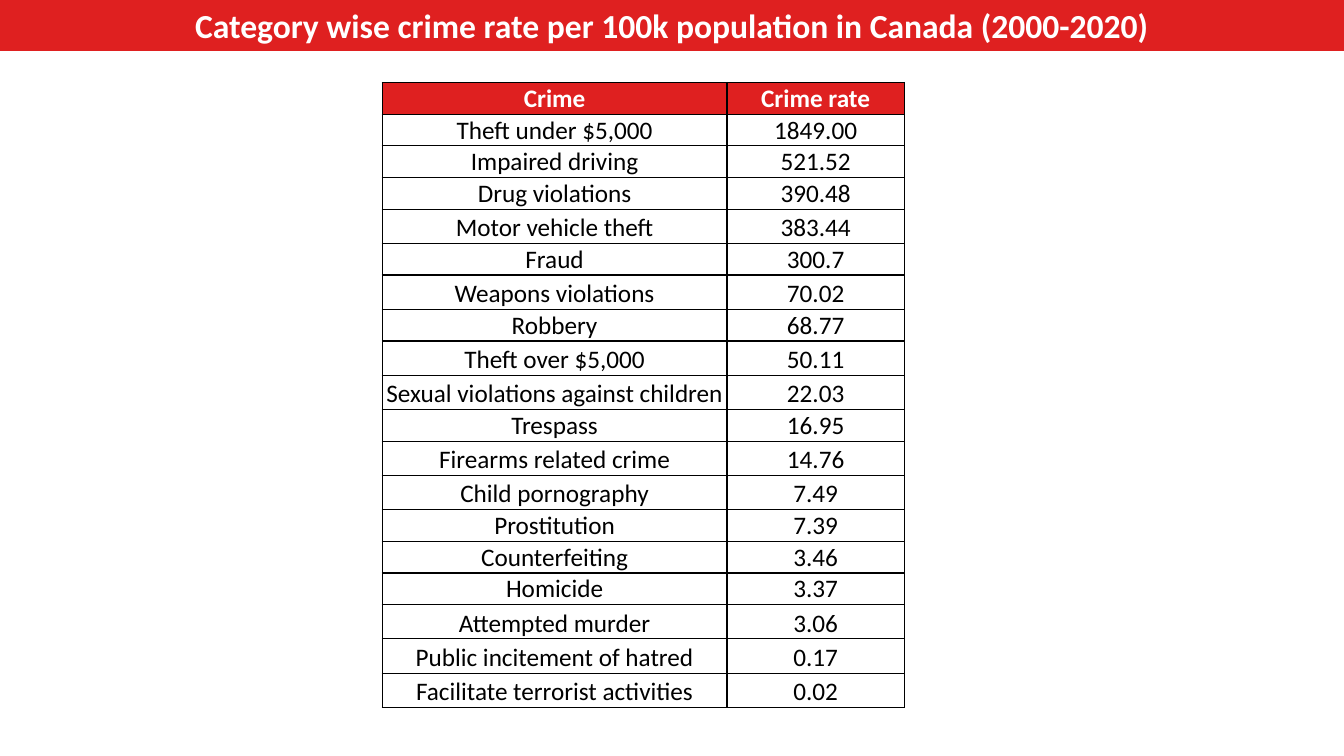
"""Build a slide with a table of Canadian crime rates by category."""
import lxml.etree
import pptx
import pptx.dml.color
import pptx.enum.text
import pptx.oxml.ns
import pptx.util

Pt = pptx.util.Pt
RED = pptx.dml.color.RGBColor(0xDF, 0x20, 0x20)
WHITE = pptx.dml.color.RGBColor(0xFF, 0xFF, 0xFF)
BLACK = pptx.dml.color.RGBColor(0x00, 0x00, 0x00)

SHORT_ROW, TALL_ROW = 22.3, 24.5
COLUMN_WIDTHS = (246.3, 126.7)
CRIMES = [
    ("Crime", "Crime rate", SHORT_ROW),
    ("Theft under $5,000", "1849.00", SHORT_ROW),
    ("Impaired driving", "521.52", SHORT_ROW),
    ("Drug violations", "390.48", SHORT_ROW),
    ("Motor vehicle theft", "383.44", TALL_ROW),
    ("Fraud", "300.7", SHORT_ROW),
    ("Weapons violations", "70.02", TALL_ROW),
    ("Robbery", "68.77", SHORT_ROW),
    ("Theft over $5,000", "50.11", TALL_ROW),
    ("Sexual violations against children", "22.03", TALL_ROW),
    ("Trespass", "16.95", SHORT_ROW),
    ("Firearms related crime", "14.76", TALL_ROW),
    ("Child pornography", "7.49", TALL_ROW),
    ("Prostitution", "7.39", SHORT_ROW),
    ("Counterfeiting", "3.46", SHORT_ROW),
    ("Homicide", "3.37", SHORT_ROW),
    ("Attempted murder", "3.06", TALL_ROW),
    ("Public incitement of hatred", "0.17", TALL_ROW),
    ("Facilitate terrorist activities", "0.02", TALL_ROW),
]


def write_text(text_frame, text, size=18, color=BLACK, bold=False):
    paragraph = text_frame.paragraphs[0]
    paragraph.alignment = pptx.enum.text.PP_ALIGN.CENTER
    run = paragraph.add_run()
    run.text = text
    run.font.name = "Calibri"
    run.font.size = Pt(size)
    run.font.bold = bold
    run.font.color.rgb = color


def add_borders(cell, color=BLACK, width=1):
    properties = cell._tc.get_or_add_tcPr()
    for side in ("a:lnL", "a:lnR", "a:lnT", "a:lnB"):
        line = lxml.etree.SubElement(properties, pptx.oxml.ns.qn(side), w=str(Pt(width)))
        fill = lxml.etree.SubElement(line, pptx.oxml.ns.qn("a:solidFill"))
        lxml.etree.SubElement(fill, pptx.oxml.ns.qn("a:srgbClr"), val=str(color))


presentation = pptx.Presentation()
presentation.slide_width = Pt(960)
presentation.slide_height = Pt(540)
slide = presentation.slides.add_slide(presentation.slide_layouts[5])

title = slide.shapes.title
title.left, title.top, title.width, title.height = Pt(0), Pt(0), Pt(960), Pt(36.4)
title.fill.solid()
title.fill.fore_color.rgb = RED
title.text_frame.auto_size = pptx.enum.text.MSO_AUTO_SIZE.NONE
title.text_frame.vertical_anchor = pptx.enum.text.MSO_ANCHOR.MIDDLE
write_text(
    title.text_frame,
    "Category wise crime rate per 100k population in Canada (2000-2020)",
    size=24, color=WHITE, bold=True,
)

table_height = sum(height for crime, rate, height in CRIMES)
table = slide.shapes.add_table(
    len(CRIMES), len(COLUMN_WIDTHS),
    Pt(273), Pt(59), Pt(sum(COLUMN_WIDTHS)), Pt(table_height),
).table
table.horz_banding = False
for column, width in zip(table.columns, COLUMN_WIDTHS):
    column.width = Pt(width)

for row_index, (crime, rate, height) in enumerate(CRIMES):
    is_header = row_index == 0
    table.rows[row_index].height = Pt(height)
    for cell, text in zip(table.rows[row_index].cells, (crime, rate)):
        cell.margin_left = cell.margin_right = cell.margin_top = Pt(0.6)
        cell.margin_bottom = Pt(0)
        cell.vertical_anchor = pptx.enum.text.MSO_ANCHOR.BOTTOM
        add_borders(cell)
        if is_header:
            cell.fill.solid()
            cell.fill.fore_color.rgb = RED
        else:
            cell.fill.background()
        write_text(cell.text_frame, text, color=WHITE if is_header else BLACK, bold=is_header)

presentation.save("out.pptx")
